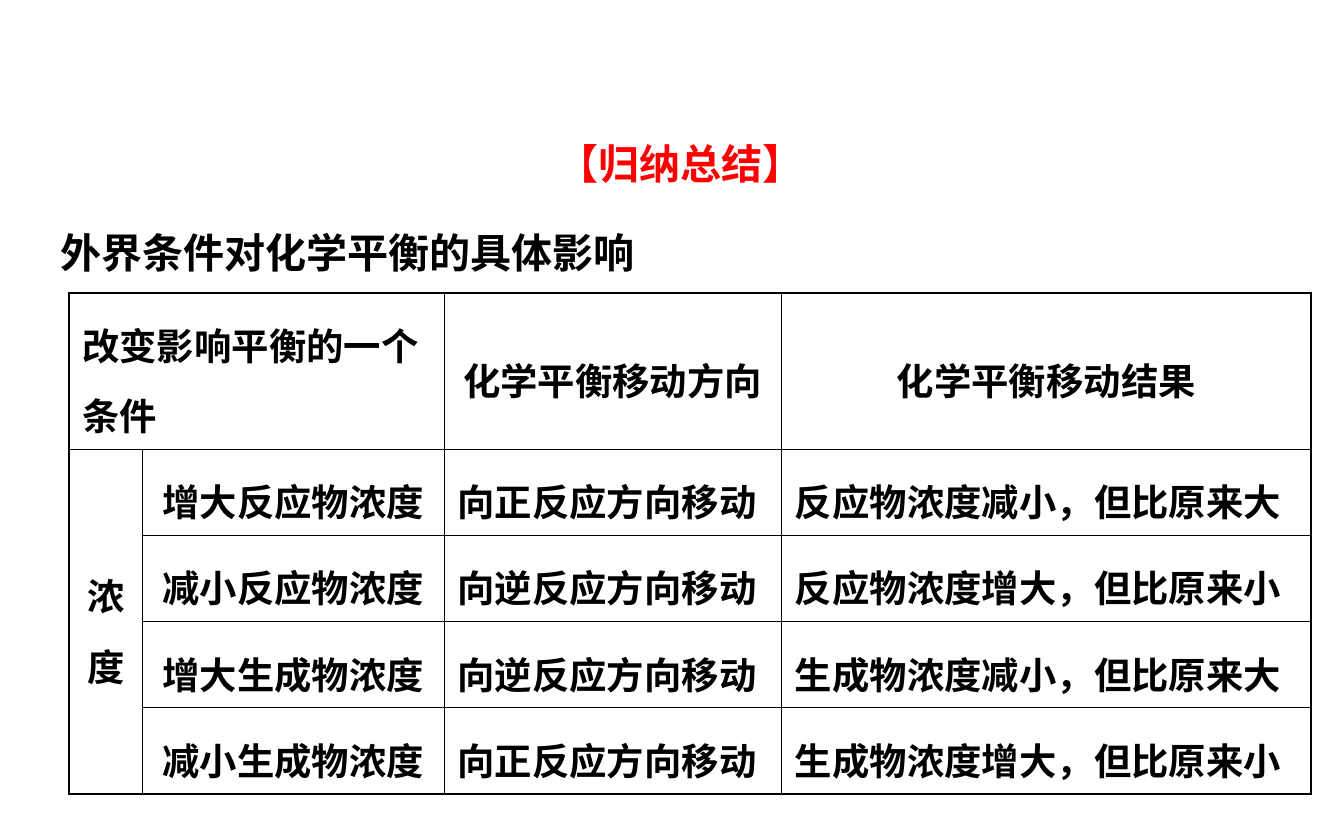
from dataclasses import dataclass

from lxml.etree import SubElement
from pptx import Presentation
from pptx.dml.color import RGBColor
from pptx.enum.lang import MSO_LANGUAGE_ID as Language
from pptx.enum.text import MSO_ANCHOR as Anchor
from pptx.enum.text import MSO_AUTO_SIZE as AutoSize
from pptx.enum.text import PP_ALIGN as Align
from pptx.oxml.ns import qn
from pptx.util import Cm, Pt


@dataclass(frozen=True)
class Theme:
    font: str = "Noto Sans CJK SC"
    accent: str = "FF0000"
    ink: str = "000000"
    title_size: float = 22
    table_size: float = 20
    title_spacing: float = 1.8
    table_spacing: float = 1.3
    outer_line: float = 1.08
    inner_line: float = 0.45


THEME = Theme()
COLUMN_WIDTHS = [1.4, 5.69, 6.38, 10.01]
ROW_HEIGHTS = [2.95] + [1.63] * 4
HEADERS = ["改变影响平衡的一个条件", None, "化学平衡移动方向", "化学平衡移动结果"]
FACTOR = ["浓", "度"]
EFFECTS = [
    ("增大反应物浓度", "向正反应方向移动", "反应物浓度减小，但比原来大"),
    ("减小反应物浓度", "向逆反应方向移动", "反应物浓度增大，但比原来小"),
    ("增大生成物浓度", "向逆反应方向移动", "生成物浓度减小，但比原来大"),
    ("减小生成物浓度", "向正反应方向移动", "生成物浓度增大，但比原来小"),
]


def write_para(para, text, size, color, align, spacing):
    para.alignment = align
    para.line_spacing = spacing
    span = para.add_run()
    span.text = text
    font = span.font
    font.size = Pt(size)
    font.bold = True
    font.name = THEME.font
    font.language_id = Language.SIMPLIFIED_CHINESE
    font.color.rgb = RGBColor.from_string(color)
    SubElement(span._r.get_or_add_rPr(), qn("a:ea"), typeface=THEME.font)


def add_heading(page, left, top, width, height):
    title = page.shapes.title
    title.left, title.top, title.width, title.height = left, top, width, height
    frame = title.text_frame
    frame.word_wrap = True
    frame.auto_size = AutoSize.NONE
    frame.vertical_anchor = Anchor.TOP
    lines = [
        ("【归纳总结】", THEME.accent, Align.CENTER),
        ("外界条件对化学平衡的具体影响", THEME.ink, Align.LEFT),
    ]
    for index, (text, color, align) in enumerate(lines):
        para = frame.add_paragraph() if index else frame.paragraphs[0]
        write_para(para, text, THEME.title_size, color, align, THEME.title_spacing)


def set_borders(cell, row, column):
    height = cell.span_height if cell.is_merge_origin else 1
    width = cell.span_width if cell.is_merge_origin else 1
    at_edge = {
        "a:lnL": column == 0,
        "a:lnR": column + width == len(COLUMN_WIDTHS),
        "a:lnT": row == 0,
        "a:lnB": row + height == len(ROW_HEIGHTS),
    }
    properties = cell._tc.get_or_add_tcPr()
    for tag, outer in at_edge.items():
        if cell.is_spanned and not outer:
            continue
        weight = THEME.outer_line if outer else THEME.inner_line
        line = SubElement(properties, qn(tag), w=str(int(Pt(weight))))
        fill = SubElement(line, qn("a:solidFill"))
        SubElement(fill, qn("a:srgbClr"), val=THEME.ink)


def write_cell(cell, lines, align):
    cell.vertical_anchor = Anchor.MIDDLE
    frame = cell.text_frame
    for index, text in enumerate(lines):
        para = frame.add_paragraph() if index else frame.paragraphs[0]
        write_para(para, text, THEME.table_size, THEME.ink, align, THEME.table_spacing)


def add_effects_table(page, left, top):
    table = page.shapes.add_table(
        len(ROW_HEIGHTS), len(COLUMN_WIDTHS), left, top,
        Cm(sum(COLUMN_WIDTHS)), Cm(sum(ROW_HEIGHTS)),
    ).table
    table.first_row = table.horz_banding = False
    for column, width in zip(table.columns, COLUMN_WIDTHS):
        column.width = Cm(width)
    for row, height in zip(table.rows, ROW_HEIGHTS):
        row.height = Cm(height)
    table.cell(0, 0).merge(table.cell(0, 1))
    table.cell(1, 0).merge(table.cell(len(EFFECTS), 0))

    for row in range(len(ROW_HEIGHTS)):
        for column in range(len(COLUMN_WIDTHS)):
            cell = table.cell(row, column)
            set_borders(cell, row, column)
            cell.fill.background()

    for column, text in enumerate(HEADERS):
        if text:
            align = Align.CENTER if column else Align.LEFT
            write_cell(table.cell(0, column), [text], align)
    write_cell(table.cell(1, 0), FACTOR, Align.CENTER)
    for row, effect in enumerate(EFFECTS, 1):
        for column, text in enumerate(effect, 1):
            align = Align.CENTER if column == 1 else Align.LEFT
            write_cell(table.cell(row, column), [text], align)


def main():
    deck = Presentation()
    deck.slide_width, deck.slide_height = Cm(25.4), Cm(15.88)
    page = deck.slides.add_slide(deck.slide_layouts.get_by_name("Title Only"))
    add_heading(page, Cm(0.89), Cm(1.75), Cm(23.95), Cm(3.61))
    add_effects_table(page, Cm(1.3), Cm(5.54))
    deck.save("out.pptx")


if __name__ == "__main__":
    main()
